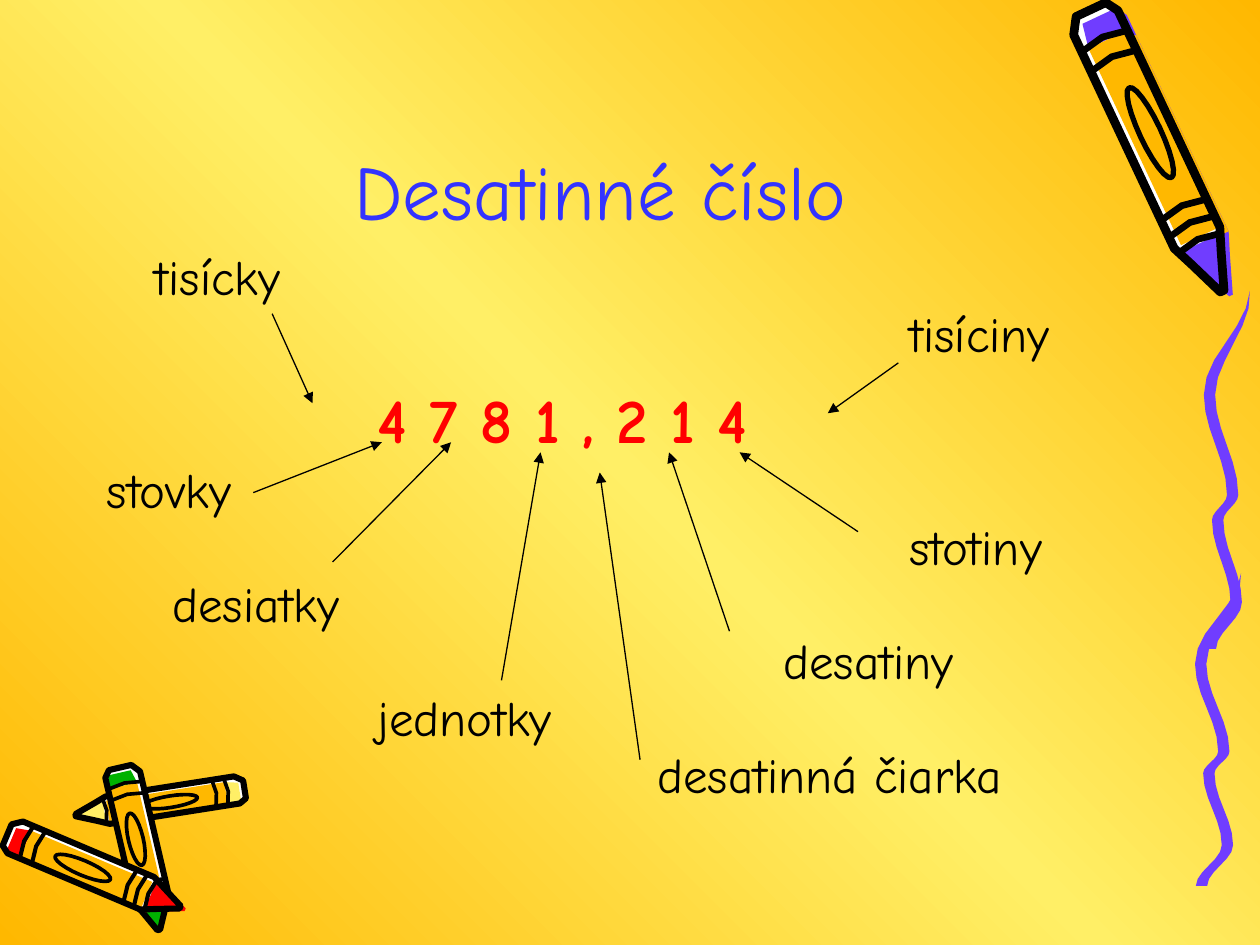
from copy import deepcopy
from math import cos, hypot, pi, sin

from lxml.etree import SubElement
from pptx import Presentation
from pptx.dml.color import RGBColor
from pptx.enum.shapes import MSO_CONNECTOR
from pptx.enum.text import MSO_ANCHOR, PP_ALIGN
from pptx.oxml.ns import qn
from pptx.util import Inches, Pt

FONT = "Comic Neue"
BLACK = RGBColor(0x00, 0x00, 0x00)
WHITE = RGBColor(0xFF, 0xFF, 0xFF)
BLUE = RGBColor(0x33, 0x33, 0xFF)
RED = RGBColor(0xFF, 0x00, 0x00)
GREEN = RGBColor(0x00, 0xB2, 0x00)
PURPLE = RGBColor(0x70, 0x3D, 0xFF)
ORANGE = RGBColor(0xFF, 0xB8, 0x00)
YELLOW = RGBColor(0xFF, 0xEF, 0x66)

CRAYON_OUTLINE = [(0, -0.7), (0, 0.6), (0.05, 1), (0.81, 1), (0.88, 0.65), (1, 0.08),
                  (1, -0.08), (0.88, -0.65), (0.81, -1), (0.04, -1)]
CRAYON_BUTT = [(0.03, -0.8), (0.03, 0.5), (0.11, 0.7), (0.11, -1)]
CRAYON_BARREL = [(0.11, -1), (0.11, 0.7), (0.81, 0.7), (0.81, -1)]
CRAYON_CONE = [(0.83, 0.8), (0.88, 0.5), (1, 0), (0.88, -0.65), (0.83, -1)]
BAND_POSITIONS = (0.1, 0.17, 0.7, 0.76, 0.82)
BAND_BOW, BAND_WIDTH = 0.015, 0.022

WAVE_TURNS = [(0, 1), (0.29, 0.11), (0.57, 0.62), (0.64, 0.29), (0.87, 0.7), (1, 0.13)]
WAVE_STEPS = 6

NUMBER = "4 7 8 1 , 2 1 4"
PLACES_ABOVE = [
    ("tisícky", 0.38, (1.41, 0.49), (1.73, 1.2)),
    ("tisíciny", 6.37, (6.38, 0.88), (5.82, 1.28)),
]
PLACES_BELOW = [
    ("stovky", 0, (1.26, 1.91), (2.28, 1.51)),
    ("stotiny", 6.37, (6.06, 2.22), (5.12, 1.59)),
    ("desiatky", 0.52, (1.89, 2.46), (2.83, 1.51)),
    ("desatiny", 5.37, (5.04, 3.01), (4.56, 1.59)),
    ("jednotky", 2.15, (3.23, 3.4), (3.54, 1.59)),
    ("desatinná čiarka", 4.37, (4.33, 4.03), (4.01, 1.75)),
]


def write(p, text, size=28, color=BLACK, bold=False, indent=0, before=0, after=0,
          spacing=1.0, align=PP_ALIGN.LEFT):
    p.alignment, p.line_spacing = align, spacing
    p.space_before, p.space_after = Pt(before), Pt(after)
    p._p.get_or_add_pPr().set("marL", str(Inches(indent)))
    r = p.add_run()
    r.text = text
    r.font.name, r.font.size, r.font.bold = FONT, Pt(size), bold
    r.font.color.rgb = color


def add_polygon(shapes, points, fill=None, outline=0):
    corners = [(Inches(x), Inches(y)) for x, y in points]
    builder = shapes.build_freeform(*corners[0], scale=1.0)
    builder.add_line_segments(corners[1:], close=True)
    sp = builder.convert_to_shape()
    sp.shadow.inherit = False
    if fill is None:
        sp.fill.background()
    else:
        sp.fill.solid()
        sp.fill.fore_color.rgb = fill
    if outline:
        sp.line.color.rgb = BLACK
        sp.line.width = Pt(outline)
    else:
        sp.line.fill.background()


def add_arrow(s, x1, y1, x2, y2):
    arrow = s.shapes.add_connector(MSO_CONNECTOR.STRAIGHT, *map(Inches, (x1, y1, x2, y2)))
    arrow.line.color.rgb = BLACK
    arrow.line.width = Pt(0.75)
    SubElement(arrow._element.spPr.get_or_add_ln(), qn("a:tailEnd"), type="triangle")
    SubElement(arrow._element.spPr, qn("a:effectLst"))


def paint_background(s):
    fill = s.background.fill
    fill.gradient()
    fill.gradient_angle = 45
    first = s._element.find(".//" + qn("a:gs"))
    first.addnext(deepcopy(first))
    for stop, position, color in zip(fill.gradient_stops, (0, 0.5, 1), (ORANGE, YELLOW, ORANGE)):
        stop.position = position
        stop.color.rgb = color


def draw_crayon(s, butt, tip, half_width, wax, outline, shadow=0.0):
    shapes = s.shapes.add_group_shape().shapes
    (x0, y0), (x1, y1) = butt, tip
    dx, dy = x1 - x0, y1 - y0
    across = half_width / hypot(dx, dy)

    def place(points, shift=0.0):
        return [(x0 + along * dx - side * across * dy + shift,
                 y0 + along * dy + side * across * dx + shift / 2) for along, side in points]

    if shadow:
        add_polygon(shapes, place(CRAYON_OUTLINE, shadow), wax)
        add_polygon(shapes, place(CRAYON_BARREL, shadow), ORANGE)
    add_polygon(shapes, place(CRAYON_OUTLINE), WHITE)
    for part, color in ((CRAYON_BUTT, wax), (CRAYON_BARREL, ORANGE), (CRAYON_CONE, wax)):
        add_polygon(shapes, place(part), color)
    for start in BAND_POSITIONS:
        bow = [(start, -1), (start - BAND_BOW, 0), (start, 1)]
        band = bow + [(along + BAND_WIDTH, side) for along, side in reversed(bow)]
        add_polygon(shapes, place(band), BLACK)
    angles = [2 * pi * step / 24 for step in range(24)]
    label = [(0.44 + 0.16 * cos(angle), -0.1 + 0.42 * sin(angle)) for angle in angles]
    add_polygon(shapes, place(label), outline=outline * 0.6)
    add_polygon(shapes, place(CRAYON_OUTLINE), outline=outline)


def draw_squiggle(s, left, top, width, height, thickness=0.09):
    centre = []
    for (y0, x0), (y1, x1) in zip(WAVE_TURNS, WAVE_TURNS[1:]):
        for step in range(WAVE_STEPS):
            t = step / WAVE_STEPS
            centre.append((x0 + (x1 - x0) * (1 - cos(pi * t)) / 2, y0 + (y1 - y0) * t))
    centre.append(WAVE_TURNS[-1][::-1])

    def edge(side):
        return [(left + x * width + side * thickness / 2 * min(1, 5 * y), top + y * height)
                for x, y in centre]

    add_polygon(s.shapes, edge(1) + edge(-1)[::-1], PURPLE)


def place_title(s, left, top, width, height):
    title = s.shapes.title
    title.left, title.top, title.width, title.height = map(Inches, (left, top, width, height))
    tf = title.text_frame
    tf.vertical_anchor = MSO_ANCHOR.BOTTOM
    write(tf.paragraphs[0], "Desatinné číslo", size=44, color=BLUE, align=PP_ALIGN.CENTER)


def draw_place_values(s, left, top, width, height):
    tf = s.shapes.add_textbox(*map(Inches, (left, top, width, height))).text_frame
    tf.word_wrap = True

    def add_row(text, **style):
        first = not tf.paragraphs[0].runs
        p = tf.paragraphs[0] if first else tf.add_paragraph()
        before = 0 if first else style.pop("before", 5.6)
        write(p, text, before=before, spacing=0.8, **style)

    for name, indent, *_ in PLACES_ABOVE:
        add_row(name, indent=indent)
    add_row(NUMBER, size=36, color=RED, bold=True, indent=2.15, before=19, after=3)
    for name, indent, *_ in PLACES_BELOW:
        add_row(name, indent=indent)
    for _, _, (x1, y1), (x2, y2) in PLACES_ABOVE + PLACES_BELOW:
        add_arrow(s, left + x1, top + y1, left + x2, top + y2)


def main():
    prs = Presentation()
    prs.slide_width, prs.slide_height = Inches(10), Inches(7.5)
    s = prs.slides.add_slide(prs.slide_layouts[5])
    paint_background(s)
    draw_crayon(s, (8.65, 0.08), (9.7, 2.31), 0.2, PURPLE, outline=5, shadow=0.07)
    draw_squiggle(s, 9.56, 2.31, 0.36, 2.84)
    draw_squiggle(s, 9.49, 4.55, 0.36, 2.48)
    draw_crayon(s, (1.94, 6.26), (0.6, 6.47), 0.11, YELLOW, outline=3.5)
    draw_crayon(s, (0.96, 6.09), (1.26, 7.38), -0.14, GREEN, outline=3.5)
    draw_crayon(s, (0.06, 6.62), (1.43, 7.2), -0.14, RED, outline=3.5, shadow=0.04)
    place_title(s, 0.75, 0.17, 8.03, 1.75)
    draw_place_values(s, 0.75, 2, 8.42, 4.74)
    prs.save("out.pptx")


if __name__ == "__main__":
    main()
